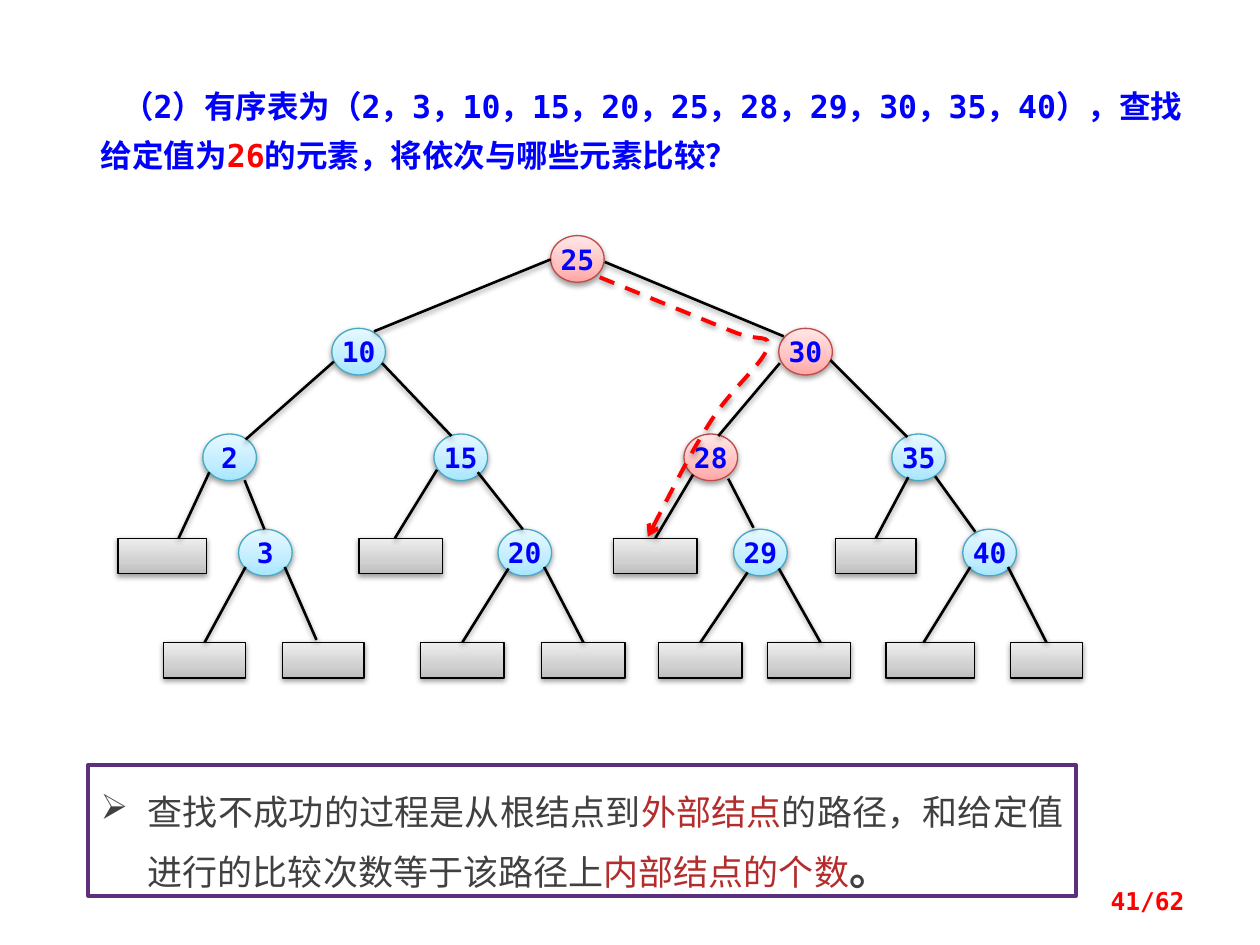
from dataclasses import dataclass
from typing import Any, Sequence

import pptx
import pptx.dml.color
import pptx.enum.dml
import pptx.enum.shapes
import pptx.enum.text
import pptx.oxml
import pptx.oxml.ns
import pptx.util
from copy import deepcopy
from lxml import etree

Cm, Pt = pptx.util.Cm, pptx.util.Pt
RGB = pptx.dml.color.RGBColor
Shape = pptx.enum.shapes.MSO_SHAPE
Align = pptx.enum.text.PP_ALIGN
Anchor = pptx.enum.text.MSO_ANCHOR
qn = pptx.oxml.ns.qn

BLUE = RGB(0x00, 0x00, 0xFF)
RED = RGB(0xFF, 0x00, 0x00)
BLACK = RGB(0x00, 0x00, 0x00)
GREY = RGB(0x40, 0x40, 0x40)
BRICK = RGB(0xB4, 0x2D, 0x2D)
PURPLE = RGB(0x5C, 0x30, 0x7D)
PINK_LINE = RGB(0xBF, 0x4C, 0x48)
CYAN_LINE = RGB(0x46, 0xAA, 0xC5)
PINK_FILL = (RGB(0xFF, 0xA6, 0xA5), RGB(0xFF, 0xC0, 0xBF), RGB(0xFF, 0xE7, 0xE7))
CYAN_FILL = (RGB(0xA7, 0xE6, 0xFF), RGB(0xC1, 0xED, 0xFF), RGB(0xE7, 0xF8, 0xFF))
GREY_FILL = (RGB(0xBD, 0xBD, 0xBD), RGB(0xD1, 0xD1, 0xD1), RGB(0xEE, 0xEE, 0xEE))
STOPS = (0, 0.35, 1)
MONO, SERIF = "DejaVu Sans Mono", "Times New Roman"

NODE_W, NODE_H, LEAF_H = 1.08, 0.94, 0.72
LEVELS = (4.75, 6.62, 8.75, 10.67)
LEAF_ROWS = (10.85, 12.95)


@dataclass
class Node:
    key: str
    left: float
    level: int
    compared: bool = False


@dataclass
class Leaf:
    left: float
    row: int
    width: float = 1.68


@dataclass
class Edge:
    x1: float
    y1: float
    x2: float
    y2: float


@dataclass
class Span:
    text: str
    color: RGB
    size: int
    bold: bool = False


NODES = [
    Node("25", 11.1, 0, True), Node("10", 6.69, 1), Node("30", 15.7, 1, True),
    Node("2", 4.09, 2), Node("15", 8.75, 2), Node("28", 13.79, 2, True),
    Node("35", 17.98, 2), Node("3", 4.81, 3), Node("20", 10.04, 3),
    Node("29", 14.79, 3), Node("40", 19.41, 3),
]
LEAVES = [
    Leaf(2.38, 0, 1.78), Leaf(7.24, 0), Leaf(12.37, 0), Leaf(16.84, 0, 1.63),
    Leaf(3.3, 1, 1.65), Leaf(5.69, 1, 1.65), Leaf(8.48, 1), Leaf(10.92, 1),
    Leaf(13.28, 1), Leaf(15.47, 1), Leaf(17.86, 1, 1.78), Leaf(20.37, 1, 1.45),
]
EDGES = [
    Edge(11.1, 5.23, 7.54, 6.68), Edge(12.19, 5.28, 15.8, 6.78),
    Edge(6.73, 7.29, 4.95, 8.86), Edge(7.7, 7.32, 9.1, 8.79),
    Edge(15.72, 7.32, 14.48, 8.79), Edge(16.74, 7.26, 18.29, 8.81),
    Edge(4.22, 9.52, 3.6, 10.85), Edge(4.93, 9.68, 5.33, 10.67),
    Edge(8.81, 9.47, 7.96, 10.85), Edge(9.63, 9.52, 10.54, 10.67),
    Edge(13.97, 9.57, 13.26, 10.85), Edge(14.68, 9.65, 15.19, 10.64),
    Edge(18.31, 9.62, 17.68, 10.85), Edge(18.85, 9.6, 19.66, 10.72),
    Edge(4.95, 11.43, 4.17, 12.9), Edge(5.74, 11.43, 6.38, 12.9),
    Edge(10.25, 11.46, 9.4, 12.95), Edge(10.97, 11.43, 11.81, 12.95),
    Edge(15.07, 11.54, 14.15, 12.95), Edge(15.7, 11.46, 16.54, 12.95),
    Edge(19.56, 11.43, 18.62, 12.95), Edge(20.32, 11.43, 21.01, 12.88),
]
# Start, end of the straight part, then three points for each curve
SEARCH_PATH = [
    (12.09, 5.59), (14.76, 6.68),
    (15.32, 6.91), (15.54, 6.71), (15.47, 7.01),
    (15.39, 7.32), (14.76, 7.82), (14.35, 8.46),
    (13.94, 9.09), (13.51, 9.96), (13.06, 10.82),
]


def set_line(sp: Any, color: RGB, width: float) -> None:
    sp.line.color.rgb = color
    sp.line.width = Pt(width)


def add_shadow(sp: Any) -> None:
    """Soft shadow straight below; call it once fill and line are set."""
    effects = etree.SubElement(sp._element.spPr, qn("a:effectLst"))
    shadow = etree.SubElement(effects, qn("a:outerShdw"), blurRad="40000",
                              dist="20000", dir="5400000", rotWithShape="0")
    color = etree.SubElement(shadow, qn("a:srgbClr"), val=str(BLACK))
    etree.SubElement(color, qn("a:alpha"), val="38000")


def set_gradient(sp: Any, colors: Sequence[RGB]) -> None:
    sp.fill.gradient()
    sp.fill.gradient_angle = 90
    stops = sp._element.spPr.find(".//" + qn("a:gsLst"))
    stops.append(deepcopy(stops[-1]))
    for stop, pos, color in zip(sp.fill.gradient_stops, STOPS, colors):
        stop.position = pos
        stop.color.rgb = color


def add_spans(p: Any, spans: Sequence[Span], font: str) -> None:
    for span in spans:
        r = p.add_run()
        r.text = span.text
        r.font.name, r.font.size, r.font.bold = font, Pt(span.size), span.bold
        r.font.color.rgb = span.color


def add_node(s: Any, node: Node) -> None:
    sp = s.shapes.add_shape(Shape.OVAL, Cm(node.left), Cm(LEVELS[node.level]),
                            Cm(NODE_W), Cm(NODE_H))
    set_gradient(sp, PINK_FILL if node.compared else CYAN_FILL)
    set_line(sp, PINK_LINE if node.compared else CYAN_LINE, 0.75)
    add_shadow(sp)
    tf = sp.text_frame
    tf.margin_left = tf.margin_right = tf.margin_top = tf.margin_bottom = 0
    tf.word_wrap = False
    tf.paragraphs[0].alignment = Align.CENTER
    add_spans(tf.paragraphs[0], [Span(node.key, BLUE, 16, True)], MONO)


def add_leaf(s: Any, leaf: Leaf) -> Any:
    sp = s.shapes.add_shape(Shape.RECTANGLE, Cm(leaf.left), Cm(LEAF_ROWS[leaf.row]),
                            Cm(leaf.width), Cm(LEAF_H))
    set_gradient(sp, GREY_FILL)
    set_line(sp, BLACK, 0.75)
    add_shadow(sp)
    return sp


def add_edge(s: Any, edge: Edge, leaves: Sequence[Any]) -> None:
    """Draw an edge, joined to a leaf when it ends at the middle of its top."""
    line = s.shapes.add_connector(pptx.enum.shapes.MSO_CONNECTOR.STRAIGHT,
                                  Cm(edge.x1), Cm(edge.y1), Cm(edge.x2), Cm(edge.y2))
    for leaf in leaves:
        dx = abs(leaf.left + leaf.width / 2 - Cm(edge.x2))
        if max(dx, abs(leaf.top - Cm(edge.y2))) < Cm(0.1):
            line.end_connect(leaf, 0)
    set_line(line, BLACK, 1.5)
    add_shadow(line)


def add_search_path(s: Any) -> None:
    pts = [(Cm(x), Cm(y)) for x, y in SEARCH_PATH]
    builder = s.shapes.build_freeform(*pts[0])
    builder.add_line_segments(pts[1:], close=False)
    sp = builder.convert_to_shape()
    segments = list(sp._element.iter(qn("a:lnTo")))[1:]
    for i in range(0, len(segments), 3):
        curve = etree.Element(qn("a:cubicBezTo"))
        segments[i].addprevious(curve)
        for segment in segments[i:i + 3]:
            curve.append(segment[0])
            segment.getparent().remove(segment)
    sp.fill.background()
    set_line(sp, RED, 2.25)
    sp.line.dash_style = pptx.enum.dml.MSO_LINE.DASH
    etree.SubElement(sp._element.spPr.find(qn("a:ln")), qn("a:tailEnd"), type="arrow")
    add_shadow(sp)


def add_question(s: Any) -> None:
    sp = s.shapes.title
    sp.left, sp.top, sp.width, sp.height = Cm(1.78), Cm(1.4), Cm(22.63), Cm(2.26)
    tf = sp.text_frame
    tf.word_wrap, tf.vertical_anchor = True, Anchor.TOP
    tf.auto_size = pptx.enum.text.MSO_AUTO_SIZE.NONE
    p = tf.paragraphs[0]
    p.alignment, p.line_spacing = Align.LEFT, Pt(28)
    p._p.get_or_add_pPr().set("indent", str(Cm(0.43)))
    add_spans(p, [
        Span("（2）有序表为（2，3，10，15，20，25，28，29，30，35，40），查找给定值为", BLUE, 18, True),
        Span("26", RED, 18, True),
        Span("的元素，将依次与哪些元素比较？", BLUE, 18, True)], MONO)


def add_conclusion(s: Any) -> None:
    sp = s.shapes.add_shape(Shape.RECTANGLE, Cm(1.78), Cm(15.42), Cm(19.91), Cm(2.64))
    sp.shadow.inherit = False
    sp.fill.background()
    set_line(sp, PURPLE, 2.25)
    tf = sp.text_frame
    tf.word_wrap, tf.vertical_anchor = True, Anchor.TOP
    p = tf.paragraphs[0]
    pPr = p._p.get_or_add_pPr()
    pPr.set("marL", str(Cm(0.95)))
    pPr.set("indent", str(Cm(-0.95)))
    etree.SubElement(pPr, qn("a:buChar"), char="➢")
    p.alignment, p.line_spacing = Align.JUSTIFY, Pt(35)
    add_spans(p, [
        Span("查找不成功的过程是从根结点到", GREY, 20), Span("外部结点", BRICK, 20),
        Span("的路径，和给定值进行的比较次数等于该路径上", GREY, 20),
        Span("内部结点的个数", BRICK, 20), Span("。", GREY, 24, True)], SERIF)


def add_page_number(s: Any) -> None:
    tf = s.shapes.add_textbox(Cm(18.21), Cm(17.65), Cm(5.92), Cm(1.02)).text_frame
    tf.word_wrap, tf.vertical_anchor = True, Anchor.MIDDLE
    tf.paragraphs[0].alignment = Align.RIGHT
    add_spans(tf.paragraphs[0], [Span("41/62", RED, 14, True)], MONO)


def main() -> None:
    prs = pptx.Presentation()
    prs.slide_width, prs.slide_height = Cm(25.4), Cm(19.05)
    s = prs.slides.add_slide(prs.slide_layouts[5])
    add_question(s)
    for node in NODES:
        add_node(s, node)
    leaves = [add_leaf(s, leaf) for leaf in LEAVES]
    for edge in EDGES:
        add_edge(s, edge, leaves)
    add_search_path(s)
    add_page_number(s)
    add_conclusion(s)
    prs.save("out.pptx")


if __name__ == "__main__":
    main()
